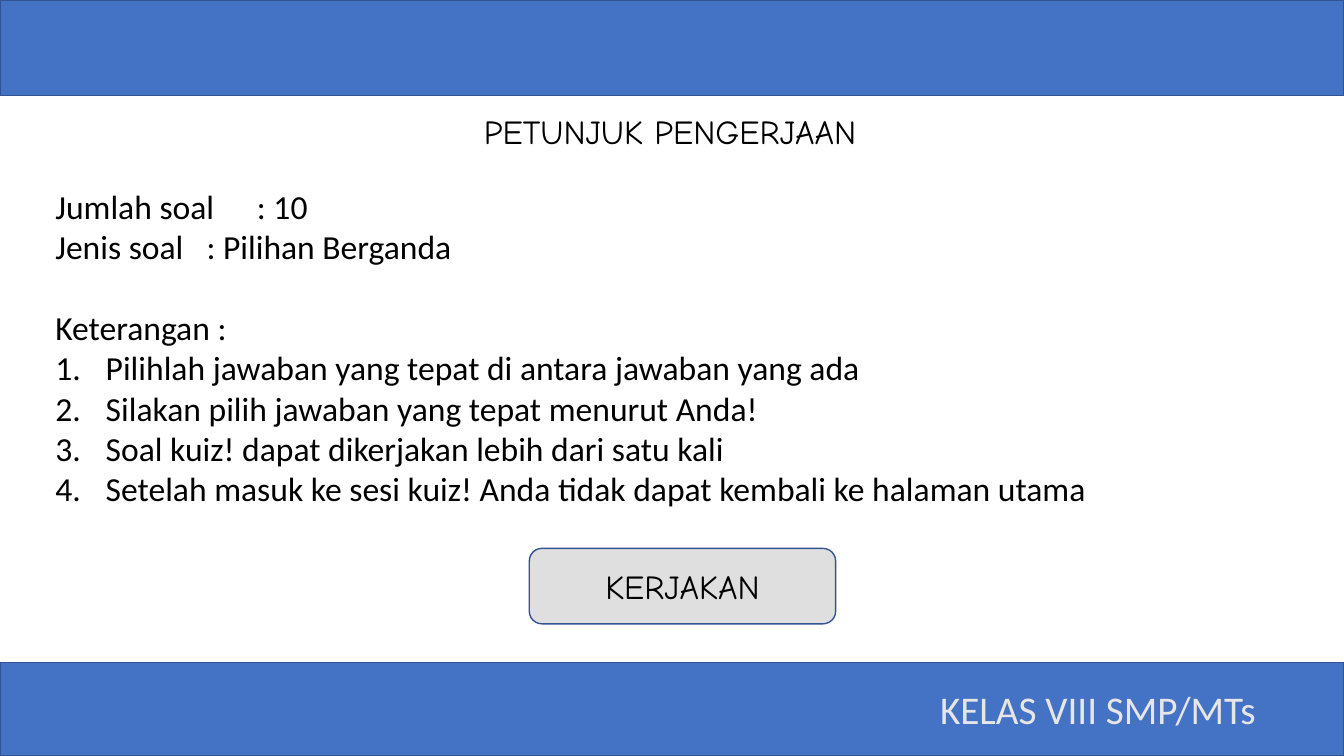
from collections import namedtuple
from dataclasses import dataclass

from lxml import etree
from pptx import Presentation
from pptx.dml.color import RGBColor
from pptx.enum.shapes import MSO_SHAPE
from pptx.enum.text import MSO_ANCHOR, MSO_AUTO_SIZE, PP_ALIGN
from pptx.oxml.ns import qn
from pptx.util import Cm, Pt

RECTANGLE = MSO_SHAPE.RECTANGLE
ROUNDED = MSO_SHAPE.ROUNDED_RECTANGLE
MIDDLE = MSO_ANCHOR.MIDDLE
TOP = MSO_ANCHOR.TOP
FIXED_SIZE = MSO_AUTO_SIZE.NONE
LEFT = PP_ALIGN.LEFT
CENTER = PP_ALIGN.CENTER

Box = namedtuple("Box", "left top width height")


@dataclass(frozen=True)
class Theme:
    """Colours, fonts and type sizes of the quiz slides."""
    band: str = "4472C4"
    outline: str = "325491"
    button: str = "D0CECE"
    button_opacity: int = 64
    text: str = "000000"
    light_text: str = "E7E6E6"
    body_font: str = "Calibri"
    display_font: str = "Comic Neue"
    body_size: int = 24
    class_size: int = 28


THEME = Theme()
SLIDE_BOX = Box(0, 0, 33.87, 19.05)
HEADER_BOX = Box(0, 0, 33.87, 2.41)
TITLE_BOX = Box(5.44, 2.67, 22.89, 1.27)
BODY_BOX = Box(1.14, 4.55, 30.28, 8.46)
BUTTON_BOX = Box(13.34, 13.82, 7.72, 1.9)
FOOTER_BOX = Box(0, 16.69, 33.87, 2.36)

FACTS = ["Jumlah soal\t: 10", "Jenis soal\t: Pilihan Berganda"]
RULES = [
    "Pilihlah jawaban yang tepat di antara jawaban yang ada",
    "Silakan pilih jawaban yang tepat menurut Anda!",
    "Soal kuiz! dapat dikerjakan lebih dari satu kali",
    "Setelah masuk ke sesi kuiz! Anda tidak dapat kembali ke halaman utama",
]


def place(shape, box):
    """Move and size a shape to a box given in centimetres."""
    shape.left, shape.top, shape.width, shape.height = map(Cm, box)


def prepare_frame(shape, anchor):
    """Give a shape a wrapping text frame of fixed size and return it."""
    frame = shape.text_frame
    frame.word_wrap = True
    frame.auto_size = FIXED_SIZE
    frame.vertical_anchor = anchor
    return frame


def write(paragraph, text, font=THEME.body_font, size=THEME.body_size,
          color=THEME.text, align=LEFT, space_before=0):
    """Write formatted text into a paragraph."""
    paragraph.alignment = align
    paragraph.line_spacing = 1.0
    paragraph.space_before = Pt(space_before)
    run = paragraph.add_run()
    run.text = text
    run.font.name = font
    run.font.size = Pt(size)
    run.font.color.rgb = RGBColor.from_string(color)


def set_marker(paragraph, numbered):
    """Number a paragraph with a hanging indent, or clear its bullet."""
    properties = paragraph._p.get_or_add_pPr()
    indent = Cm(1.27) if numbered else 0
    properties.set("marL", str(indent))
    properties.set("indent", str(-indent))
    if numbered:
        etree.SubElement(properties, qn("a:buFont"), typeface="+mj-lt")
        etree.SubElement(properties, qn("a:buAutoNum"), type="arabicPeriod")
    else:
        etree.SubElement(properties, qn("a:buNone"))


def add_panel(slide, kind, box, fill):
    """Add an outlined, filled shape without a shadow."""
    panel = slide.shapes.add_shape(kind, *map(Cm, box))
    panel.shadow.inherit = False
    panel.fill.solid()
    panel.fill.fore_color.rgb = RGBColor.from_string(fill)
    panel.line.color.rgb = RGBColor.from_string(THEME.outline)
    panel.line.width = Pt(1)
    return panel


def add_footer(slide, box):
    """Add the bottom band with the class name towards its right end."""
    add_panel(slide, RECTANGLE, box, THEME.band)
    width, height, right_gap = 9, 1.45, 1.43
    label = slide.shapes.add_textbox(
        Cm(box.left + box.width - right_gap - width),
        Cm(box.top + (box.height - height) / 2), Cm(width), Cm(height))
    frame = prepare_frame(label, MIDDLE)
    write(frame.paragraphs[0], "KELAS VIII SMP/MTs", size=THEME.class_size,
          color=THEME.light_text)


def fill_title(slide, box):
    """Write the heading in the title placeholder."""
    title = slide.shapes.title
    place(title, box)
    frame = prepare_frame(title, MIDDLE)
    write(frame.paragraphs[0], "PETUNJUK PENGERJAAN",
          font=THEME.display_font, align=CENTER)


def fill_instructions(slide, box):
    """Write the quiz facts and numbered rules in the body placeholder."""
    body = slide.placeholders[1]
    place(body, box)
    frame = prepare_frame(body, TOP)
    lines = [(fact, 0, False) for fact in FACTS]
    lines.append(("Keterangan :", 29, False))
    lines += [(rule, 0, True) for rule in RULES]
    for index, (text, gap, numbered) in enumerate(lines):
        paragraph = frame.add_paragraph() if index else frame.paragraphs[0]
        write(paragraph, text, space_before=gap)
        set_marker(paragraph, numbered)


def add_button(slide, box):
    """Add the translucent start button."""
    button = add_panel(slide, ROUNDED, box, THEME.button)
    color = button._element.spPr.find(qn("a:solidFill"))[0]
    etree.SubElement(color, qn("a:alpha"),
                     val=str(THEME.button_opacity * 1000))
    frame = prepare_frame(button, MIDDLE)
    write(frame.paragraphs[0], "KERJAKAN", font=THEME.display_font,
          align=CENTER)


def build_instruction_slide(presentation):
    """Add the quiz instruction slide."""
    slide = presentation.slides.add_slide(presentation.slide_layouts[1])
    add_panel(slide, RECTANGLE, HEADER_BOX, THEME.band)
    fill_title(slide, TITLE_BOX)
    fill_instructions(slide, BODY_BOX)
    add_button(slide, BUTTON_BOX)
    add_footer(slide, FOOTER_BOX)


def main():
    """Build and save the presentation."""
    presentation = Presentation()
    presentation.slide_width = Cm(SLIDE_BOX.width)
    presentation.slide_height = Cm(SLIDE_BOX.height)
    build_instruction_slide(presentation)
    presentation.save("out.pptx")


if __name__ == "__main__":
    main()
